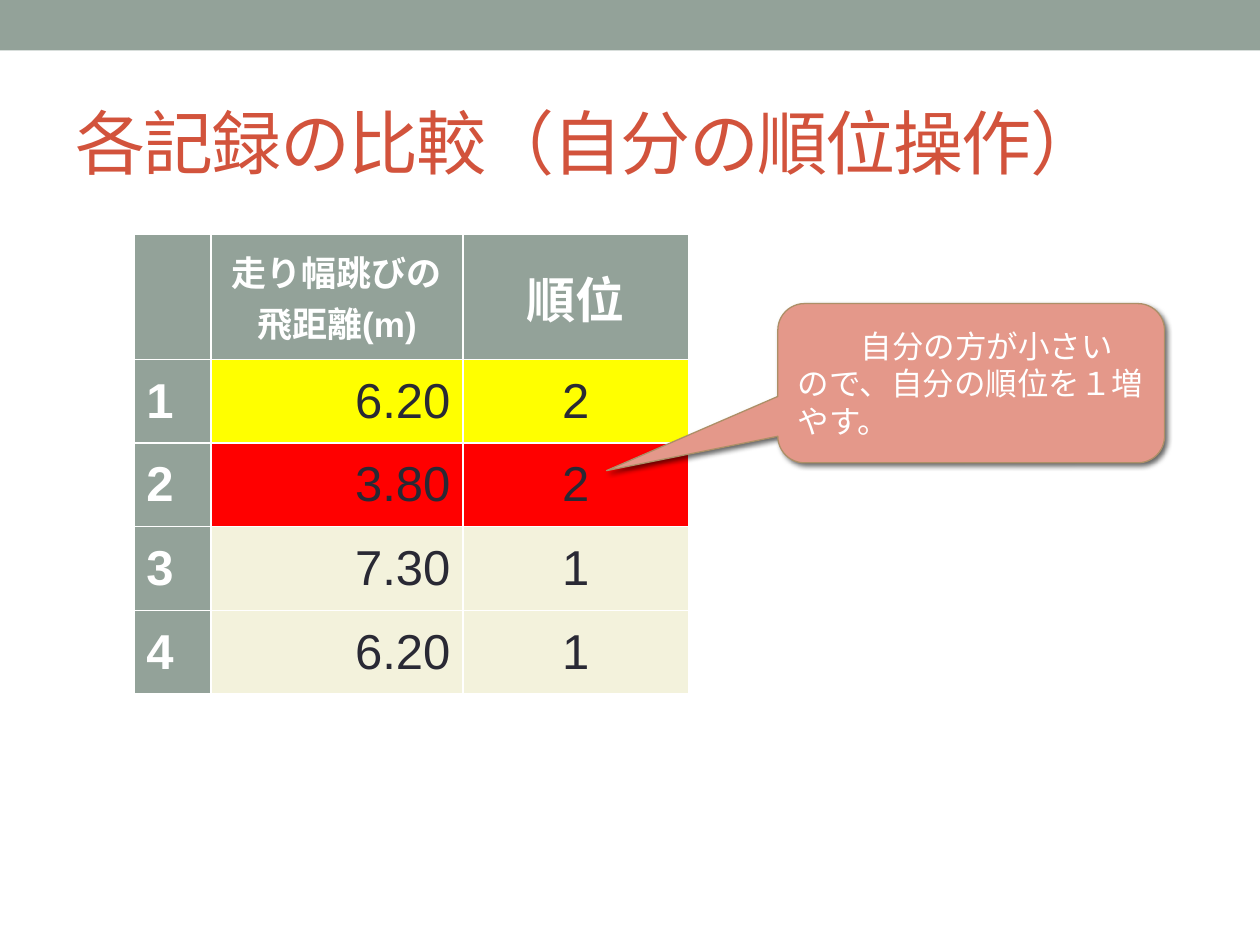
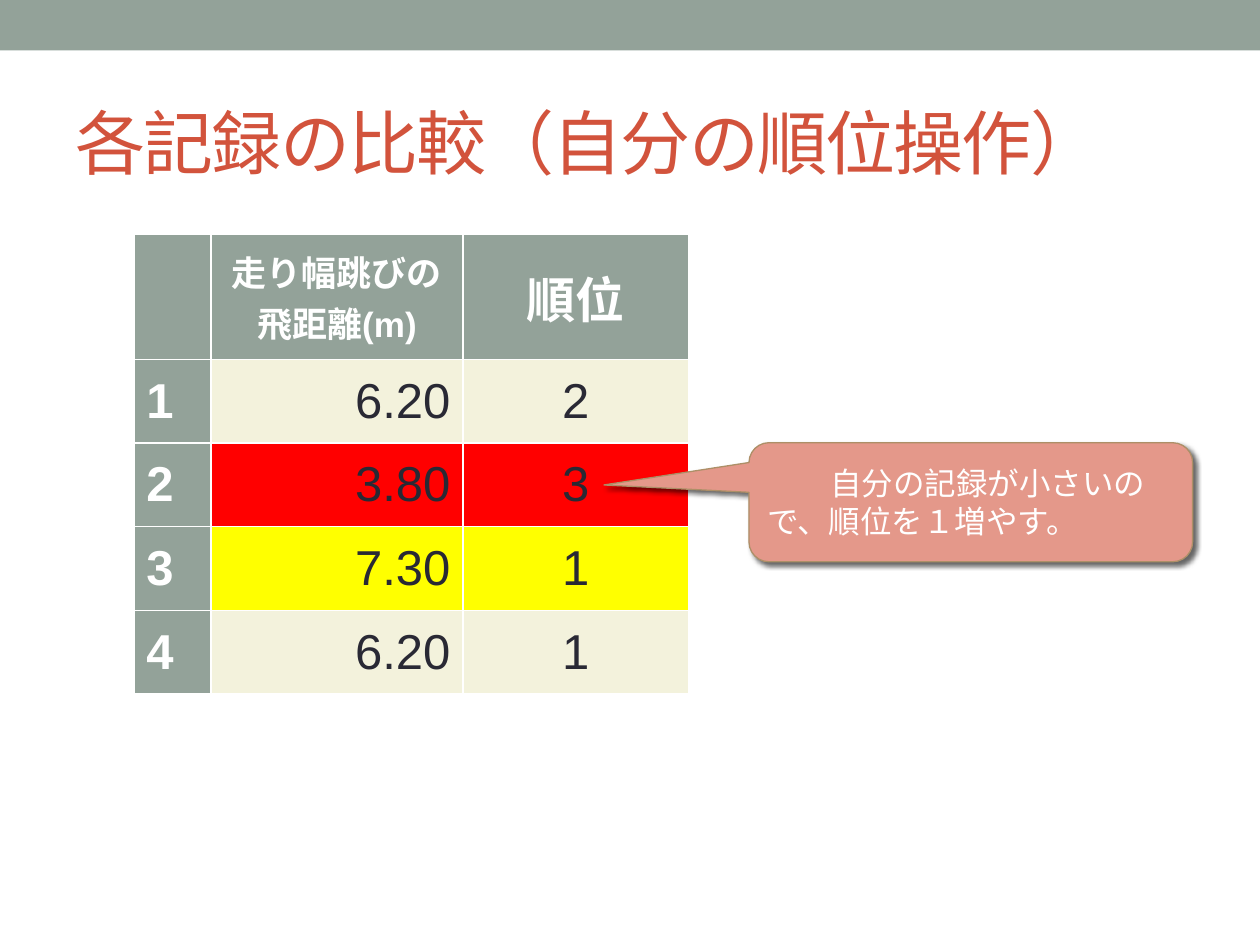
from dataclasses import dataclass
from lxml.etree import SubElement as Sub
from pptx import Presentation
from pptx.dml.color import RGBColor
from pptx.enum.shapes import MSO_SHAPE as Shape
from pptx.enum.text import MSO_ANCHOR as Anchor, PP_ALIGN as Align
from pptx.oxml.ns import qn
from pptx.util import Pt


@dataclass
class Theme:
    face: str = "Arial"
    band: str = "93A299"
    title: str = "D2533C"
    white: str = "FFFFFF"
    ink: str = "292934"
    plain: str = "F3F2DC"
    own: str = "FF0000"
    other: str = "FFFF00"
    call: str = "E4988A"
    edge: str = "AD8F67"
    big: int = 40
    cell: int = 28
    head: int = 20
    note: int = 18


theme = Theme()


def paint(fill, color):
    fill.solid()
    fill.fore_color.rgb = RGBColor.from_string(color)


def write(frame, text, size, color, bold=False, align=Align.LEFT):
    frame.word_wrap = True
    frame.vertical_anchor = Anchor.MIDDLE
    frame.text = text
    for para in frame.paragraphs:
        para.alignment = align
        font = para.font
        font.name, font.size, font.bold = theme.face, Pt(size), bold
        font.color.rgb = RGBColor.from_string(color)


heads = [
    ("", theme.cell),
    ("走り幅跳びの\n飛距離(m)", theme.head),
    ("順位", theme.cell),
]
jumps = ["6.20", "3.80", "7.30", "6.20"]
widths = [44, 144, 129]
heights = [71.4] + [47.8] * 4
own = 2
pages = [
    dict(ranks="2211", other=1, box=(444.5, 173.5, 221, 91), tip=(-0.943, 0.549),
         note="自分の方が小さいので、自分の順位を１増やす。"),
    dict(ranks="2311", other=3, box=(428, 253, 253.5, 68), tip=(-0.827, -0.145),
         note="自分の記録が小さいので、順位を１増やす。"),
]

deck = Presentation()
deck.slide_width, deck.slide_height = Pt(720), Pt(540)
master = deck.slide_master

for page in pages:
    slide = deck.slides.add_slide(deck.slide_layouts[5])

    if page is pages[0]:
        band = slide.shapes.add_shape(Shape.RECTANGLE, 0, 0, Pt(720), Pt(28.8))
        band.shadow.inherit = False
        paint(band.fill, theme.band)
        band.line.fill.background()
        master.shapes.element.insert(2, band.element)

    title = slide.shapes.title
    title.left, title.top, title.width, title.height = Pt(36), Pt(42), Pt(648), Pt(78)
    write(title.text_frame, "各記録の比較（自分の順位操作）", theme.big, theme.title)
    for run in title.text_frame.paragraphs[0].runs:
        run.font.size = Pt(theme.big)
        run.font.element.set("spc", "-100") if hasattr(run.font, "element") else \
            run._r.get_or_add_rPr().set("spc", "-100")

    table = slide.shapes.add_table(
        5, 3, Pt(76.5), Pt(134), Pt(sum(widths)), Pt(sum(heights))).table
    table.first_col = True
    table.horz_banding = False
    for col, width in zip(table.columns, widths):
        col.width = Pt(width)
    for row, height in zip(table.rows, heights):
        row.height = Pt(height)

    for col, (text, size) in enumerate(heads):
        cell = table.cell(0, col)
        paint(cell.fill, theme.band)
        cell.vertical_anchor = Anchor.MIDDLE
        write(cell.text_frame, text, size, theme.white, True, Align.CENTER)

    tints = {own: theme.own, page["other"]: theme.other}
    for row, (jump, rank) in enumerate(zip(jumps, page["ranks"]), 1):
        tint = tints.get(row, theme.plain)
        marks = [
            (str(row), theme.band, theme.white, True, Align.LEFT),
            (jump, tint, theme.ink, False, Align.RIGHT),
            (rank, tint, theme.ink, False, Align.CENTER),
        ]
        for col, (text, fill, color, bold, align) in enumerate(marks):
            cell = table.cell(row, col)
            paint(cell.fill, fill)
            cell.vertical_anchor = Anchor.MIDDLE
            write(cell.text_frame, text, theme.cell, color, bold, align)

    call = slide.shapes.add_shape(
        Shape.ROUNDED_RECTANGULAR_CALLOUT, *[Pt(side) for side in page["box"]])
    call.adjustments[0], call.adjustments[1] = page["tip"]
    paint(call.fill, theme.call)
    paint(call.line.fill, theme.edge)
    call.line.width = Pt(0.75)
    call.shadow.inherit = False
    glow = call.element.spPr.find(qn("a:effectLst"))
    shade = Sub(glow, qn("a:outerShdw"), blurRad=str(Pt(3)), dist=str(Pt(2)),
                dir="2700000", algn="tl", rotWithShape="0")
    black = Sub(shade, qn("a:srgbClr"), val="000000")
    Sub(black, qn("a:alpha"), val="60000")
    write(call.text_frame, page["note"], theme.note, theme.white)
    para = call.text_frame.paragraphs[0]
    para._p.get_or_add_pPr().set("indent", str(Pt(2 * theme.note)))

deck.save("out.pptx")
